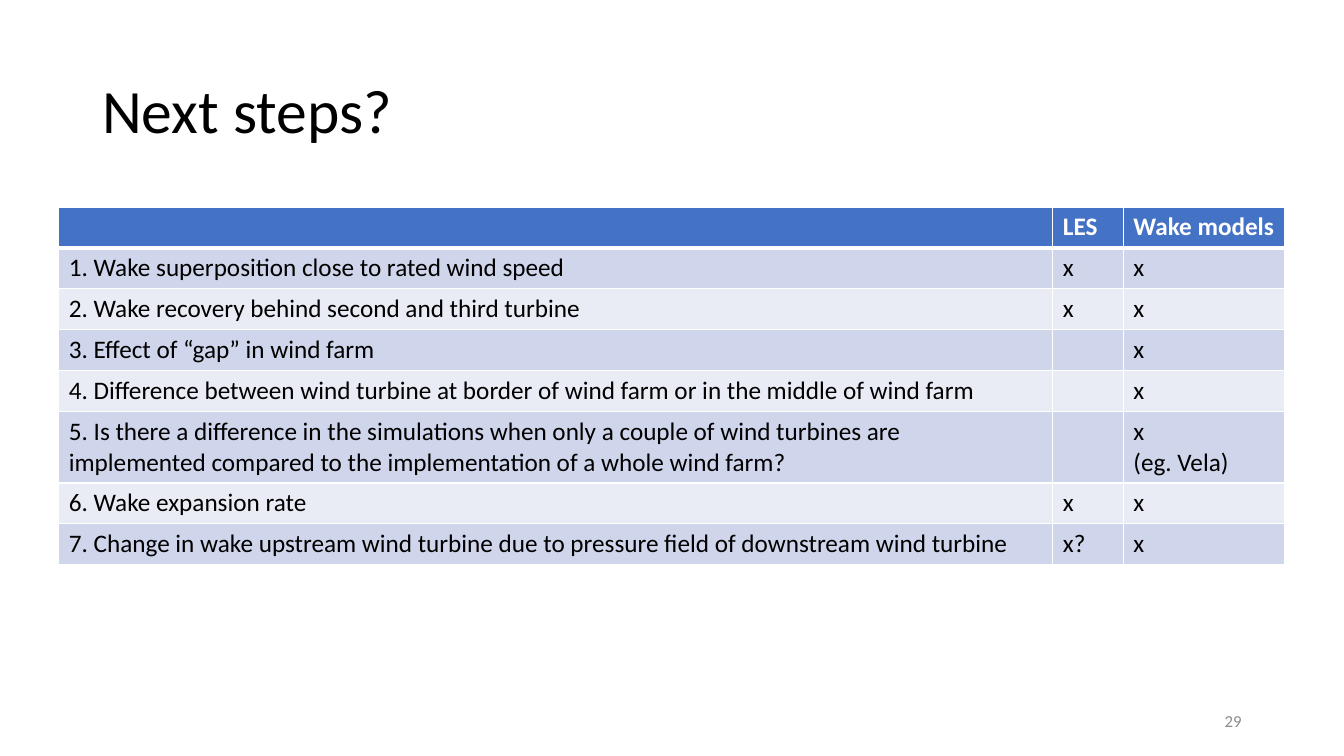
import dataclasses

import lxml.etree
import pptx
import pptx.dml.color
import pptx.enum.text
import pptx.oxml.ns
import pptx.util

Pt = pptx.util.Pt
Align = pptx.enum.text.PP_ALIGN
Anchor = pptx.enum.text.MSO_ANCHOR


@dataclasses.dataclass(frozen=True)
class Theme:
    font: str = "Calibri"
    ink: str = "000000"
    white: str = "FFFFFF"
    grey: str = "8C8C8C"
    head: str = "4472C4"
    bands: tuple = ("CFD5EA", "E9EBF5")
    title: int = 44
    body: int = 18
    small: int = 12


STEPS = [
    ("", "LES", "Wake models"),
    ("1. Wake superposition close to rated wind speed", "x", "x"),
    ("2. Wake recovery behind second and third turbine", "x", "x"),
    ("3. Effect of “gap” in wind farm", "", "x"),
    ("4. Difference between wind turbine at border of wind farm or in the middle of wind farm", "", "x"),
    ("5. Is there a difference in the simulations when only a couple of wind turbines are "
     "implemented compared to the implementation of a whole wind farm?", "", "x\n(eg. Vela)"),
    ("6. Wake expansion rate", "x", "x"),
    ("7. Change in wake upstream wind turbine due to pressure field of downstream wind turbine", "x?", "x"),
]


def tint(code):
    return pptx.dml.color.RGBColor.from_string(code)


def write(frame, text, *, font, size, color, bold=False, align=Align.LEFT, space=1.0):
    """Fill the first paragraph; a newline becomes a line break."""
    para = frame.paragraphs[0]
    para.text = text
    para.alignment = align
    para.line_spacing = space
    for run in para.runs:
        run.font.name = font
        run.font.size = Pt(size)
        run.font.bold = bold
        run.font.color.rgb = tint(color)


def edge(cell, color, top, base):
    """Draw the four borders; top and base are widths in points."""
    props = cell._tc.get_or_add_tcPr()
    qn = pptx.oxml.ns.qn
    for spot, (side, width) in enumerate((("L", 1), ("R", 1), ("T", top), ("B", base))):
        line = lxml.etree.Element(qn("a:ln" + side), w=str(Pt(width)))
        fill = lxml.etree.SubElement(line, qn("a:solidFill"))
        lxml.etree.SubElement(fill, qn("a:srgbClr"), val=color)
        props.insert(spot, line)


class Deck:
    def __init__(self, theme):
        self.theme = theme
        self.file = pptx.Presentation()
        self.file.slide_width = Pt(960)
        self.file.slide_height = Pt(540)
        self.slide = self.file.slides.add_slide(self.file.slide_layouts[6])

    def label(self, text, left, top, width, height, **form):
        box = self.slide.shapes.add_textbox(Pt(left), Pt(top), Pt(width), Pt(height))
        frame = box.text_frame
        frame.word_wrap = True
        frame.vertical_anchor = Anchor.MIDDLE
        write(frame, text, font=self.theme.font, **form)

    def table(self, rows, left, top, widths, height):
        """Place a banded table whose first row is the header."""
        theme = self.theme
        grid = self.slide.shapes.add_table(
            len(rows), len(widths), Pt(left), Pt(top),
            Pt(sum(widths)), Pt(height * len(rows))).table
        for col, width in zip(grid.columns, widths):
            col.width = Pt(width)
        for r, row in enumerate(rows):
            head = r == 0
            for c, text in enumerate(row):
                cell = grid.cell(r, c)
                cell.fill.solid()
                cell.fill.fore_color.rgb = tint(theme.head if head else theme.bands[(r - 1) % 2])
                edge(cell, theme.white, top=3 if r == 1 else 1, base=3 if head else 1)
                write(cell.text_frame, text, font=theme.font, size=theme.body,
                      color=theme.white if head else theme.ink, bold=head)

    def save(self):
        self.file.save("out.pptx")


def main():
    theme = Theme()
    deck = Deck(theme)
    deck.table(STEPS, 42, 147.8, (710, 50.4, 115.4), 29.2)
    deck.label("Next steps?", 66, 28.75, 828, 104.4, size=theme.title, color=theme.ink, space=0.9)
    deck.label("29", 678, 500.5, 216, 28.75, size=theme.small, color=theme.grey, align=Align.RIGHT)
    deck.save()


if __name__ == "__main__":
    main()
